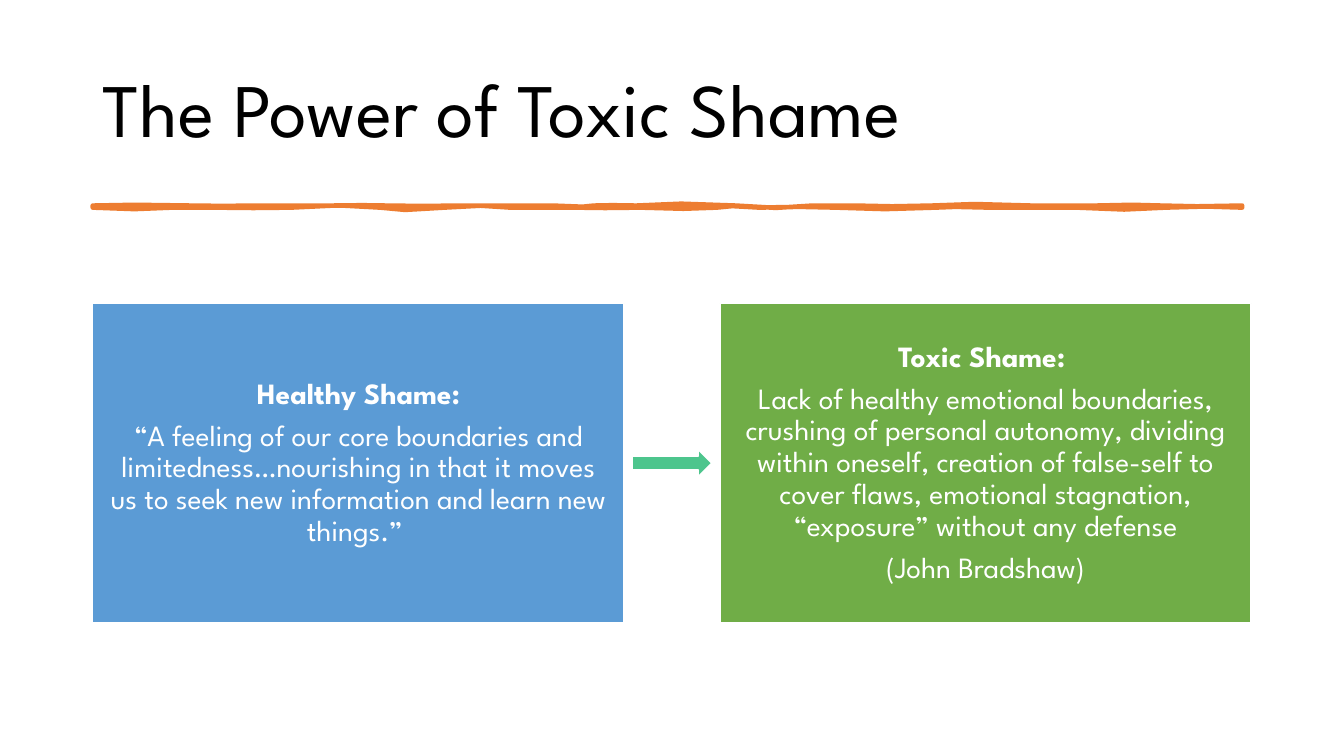
import dataclasses
import typing

import pptx
import pptx.dml.color
import pptx.enum.shapes
import pptx.enum.text
import pptx.util

Inches = pptx.util.Inches
Pt = pptx.util.Pt

FONT = "League Spartan"
COLORS = {
    "title": "000000",
    "white": "FFFFFF",
    "rule": "ED7D31",
    "healthy": "5B9BD5",
    "toxic": "70AD47",
    "arrow": "4DC58D",
}
CARD_TOP, CARD_WIDTH, CARD_HEIGHT = 3.01, 5.27, 3.17
RULE_LEFT, RULE_RIGHT, RULE_TOP, RULE_BOTTOM = 0.92, 12.32, 2.04, 2.06
CURVE_STEPS = 2


@dataclasses.dataclass(frozen=True)
class Card:
    left: float
    color: str
    heading: str
    body: tuple[str, ...]


class Bend(typing.NamedTuple):
    control_1_x: float
    control_1_y: float
    control_2_x: float
    control_2_y: float
    end_x: float


HEALTHY_CARD = Card(0.92, "healthy", "Healthy Shame:", (
    "“A feeling of our core boundaries and limitedness…nourishing in that "
    "it moves us to seek new information and learn new things.” ",
))
TOXIC_CARD = Card(7.14, "toxic", "Toxic Shame: ", (
    "Lack of healthy emotional boundaries, crushing of personal autonomy, "
    "dividing within oneself, creation of false-self to cover flaws, "
    "emotional stagnation, “exposure” without any defense",
    "(John Bradshaw)",
))

TOP_BENDS = (
    Bend(1.19, 2.04, 1.44, 2.02, 1.9),
    Bend(2.37, 2.06, 2.2, 2.03, 2.44),
    Bend(2.67, 2.05, 3.03, 2.03, 3.31),
    Bend(3.6, 2.05, 3.59, 2.02, 3.84),
    Bend(4.1, 2.06, 4.23, 2.03, 4.6),
    Bend(4.98, 2.05, 5.14, 2.03, 5.48),
    Bend(5.81, 2.05, 5.81, 2.06, 5.89),
    Bend(5.98, 2.02, 6.15, 2.05, 6.31),
    Bend(6.47, 2.03, 7.01, 2.0, 7.3),
    Bend(7.59, 2.08, 7.81, 2.06, 8.06),
    Bend(8.31, 2.02, 8.27, 2.06, 8.48),
    Bend(8.68, 2.02, 9.01, 2.08, 9.24),
    Bend(9.47, 2.0, 9.82, 2.04, 10.23),
    Bend(10.63, 2.04, 10.63, 2.04, 10.87),
    Bend(11.12, 2.04, 11.36, 2.02, 11.52),
    Bend(11.68, 2.06, 12.03, 2.04, RULE_RIGHT),
)
BOTTOM_BENDS = (
    Bend(12.05, 2.06, 11.89, 2.03, 11.56),
    Bend(11.22, 2.09, 11.1, 2.08, 10.68),
    Bend(10.27, 2.04, 10.23, 2.08, 9.81),
    Bend(9.39, 2.04, 9.52, 2.06, 9.28),
    Bend(9.04, 2.06, 8.51, 2.1, 8.29),
    Bend(8.06, 2.02, 7.82, 2.08, 7.53),
    Bend(7.24, 2.04, 7.25, 2.04, 7.11),
    Bend(6.98, 2.08, 6.61, 2.07, 6.35),
    Bend(6.09, 2.05, 5.9, 2.08, 5.7),
    Bend(5.51, 2.04, 5.28, 2.08, 5.06),
    Bend(4.83, 2.04, 4.73, 2.03, 4.41),
    Bend(4.09, 2.09, 3.9, 2.09, 3.77),
    Bend(3.63, 2.03, 3.1, 2.03, 2.89),
    Bend(2.68, 2.09, 2.35, 2.04, 2.13),
    Bend(1.92, 2.08, 1.89, 2.04, 1.71),
    Bend(1.54, 2.08, 1.14, 2.08, RULE_LEFT),
)


def rgb(name: str) -> pptx.dml.color.RGBColor:
    return pptx.dml.color.RGBColor.from_string(COLORS[name])


def paint(shape, fill: str, line: str, width: float) -> None:
    shape.shadow.inherit = False
    shape.fill.solid()
    shape.fill.fore_color.rgb = rgb(fill)
    shape.line.color.rgb = rgb(line)
    shape.line.width = Pt(width)


def style_paragraph(paragraph, size: float, color: str, bold: bool = False) -> None:
    paragraph.line_spacing = 0.9
    paragraph.font.name = FONT
    paragraph.font.size = Pt(size)
    paragraph.font.bold = bold
    paragraph.font.color.rgb = rgb(color)


def trace_edge(start_x: float, y: float, bends: tuple[Bend, ...]) -> list[tuple[float, float]]:
    points = [(start_x, y)]
    for bend in bends:
        for step in range(1, CURVE_STEPS + 1):
            t = step / CURVE_STEPS
            weights = ((1 - t) ** 3, 3 * t * (1 - t) ** 2, 3 * t ** 2 * (1 - t), t ** 3)
            xs = (start_x, bend.control_1_x, bend.control_2_x, bend.end_x)
            ys = (y, bend.control_1_y, bend.control_2_y, y)
            points.append((
                sum(weight * x for weight, x in zip(weights, xs)),
                sum(weight * y_value for weight, y_value in zip(weights, ys)),
            ))
        start_x = bend.end_x
    return points


def add_title(slide, text: str) -> None:
    title = slide.shapes.add_textbox(Inches(0.92), Inches(0.4), Inches(11.5), Inches(1.45))
    frame = title.text_frame
    frame.word_wrap = True
    frame.vertical_anchor = pptx.enum.text.MSO_ANCHOR.MIDDLE
    frame.text = text
    style_paragraph(frame.paragraphs[0], 54, "title")


def add_wavy_rule(slide) -> None:
    points = trace_edge(RULE_LEFT, RULE_TOP, TOP_BENDS)
    points += trace_edge(RULE_RIGHT, RULE_BOTTOM, BOTTOM_BENDS)
    vertices = [(Inches(x), Inches(y)) for x, y in points]
    builder = slide.shapes.build_freeform(*vertices[0])
    builder.add_line_segments(vertices[1:], close=True)
    paint(builder.convert_to_shape(), "rule", "rule", 3.25)


def add_card(slide, card: Card) -> None:
    shape = slide.shapes.add_shape(
        pptx.enum.shapes.MSO_SHAPE.RECTANGLE,
        Inches(card.left), Inches(CARD_TOP), Inches(CARD_WIDTH), Inches(CARD_HEIGHT),
    )
    paint(shape, card.color, "white", 1)
    frame = shape.text_frame
    frame.word_wrap = True
    frame.vertical_anchor = pptx.enum.text.MSO_ANCHOR.MIDDLE
    frame.margin_left = frame.margin_right = Inches(0.17)
    frame.margin_top = frame.margin_bottom = Inches(0.17)
    frame.text = "\n".join((card.heading, *card.body))
    for index, paragraph in enumerate(frame.paragraphs):
        paragraph.alignment = pptx.enum.text.PP_ALIGN.CENTER
        paragraph.space_after = Pt(7.35)
        style_paragraph(paragraph, 21, "white", bold=index == 0)


def add_arrow(slide) -> None:
    arrow = slide.shapes.add_shape(
        pptx.enum.shapes.MSO_SHAPE.RIGHT_ARROW,
        Inches(6.27), Inches(4.46), Inches(0.79), Inches(0.27),
    )
    paint(arrow, "arrow", "white", 1)


def main() -> None:
    presentation = pptx.Presentation()
    presentation.slide_width = Inches(13.33)
    presentation.slide_height = Inches(7.5)
    slide = presentation.slides.add_slide(presentation.slide_layouts[6])
    add_title(slide, "The Power of Toxic Shame")
    add_wavy_rule(slide)
    add_card(slide, HEALTHY_CARD)
    add_arrow(slide)
    add_card(slide, TOXIC_CARD)
    presentation.save("out.pptx")


if __name__ == "__main__":
    main()
